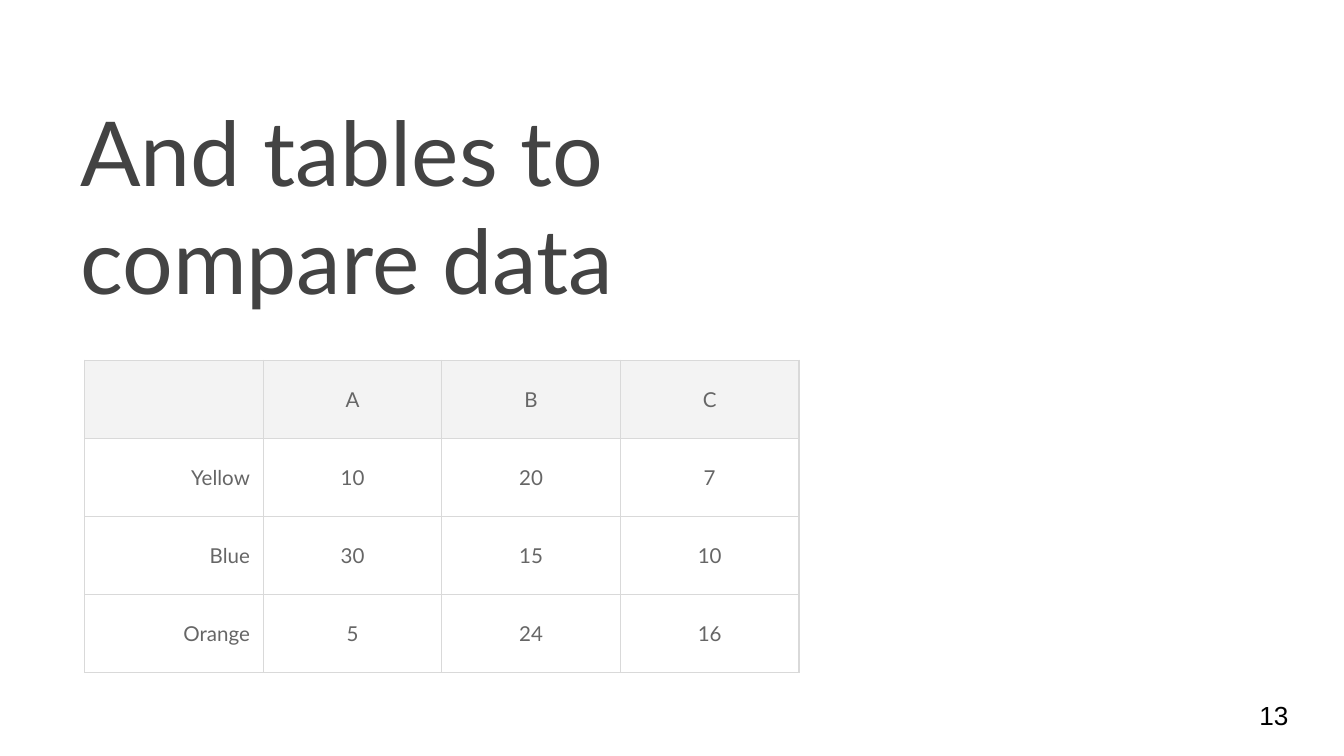
from lxml.etree import SubElement
from pptx import Presentation
from pptx.dml.color import RGBColor
from pptx.enum.text import MSO_ANCHOR as Anchor, MSO_AUTO_SIZE as AutoSize, PP_ALIGN as Align
from pptx.oxml.ns import qn
from pptx.util import Cm, Pt

COLORS = {
    "title": "434343",
    "cell": "666666",
    "header": "F3F3F3",
    "border": "D9D9D9",
    "number": "000000",
}
ROWS = [
    ["", "A", "B", "C"],
    ["Yellow", "10", "20", "7"],
    ["Blue", "30", "15", "10"],
    ["Orange", "5", "24", "16"],
]


def style_paragraph(paragraph, font_name, size, color, align=Align.LEFT):
    """Set the font and alignment of a paragraph."""
    paragraph.alignment = align
    paragraph.font.name = font_name
    paragraph.font.size = Pt(size)
    paragraph.font.color.rgb = RGBColor.from_string(COLORS[color])


def fill_frame(frame, text, anchor):
    """Put text into a wrapping frame with even insets and return its paragraph."""
    frame.text = text
    frame.word_wrap = True
    frame.auto_size = AutoSize.NONE
    frame.vertical_anchor = anchor
    frame.margin_left = frame.margin_right = Cm(0.25)
    frame.margin_top = frame.margin_bottom = Cm(0.25)
    return frame.paragraphs[0]


def place_title(slide, left, top, width, height):
    """Place and format the title placeholder."""
    title = slide.shapes.title
    title.left, title.top, title.width, title.height = left, top, width, height
    paragraph = fill_frame(title.text_frame, "And tables to compare data", Anchor.BOTTOM)
    style_paragraph(paragraph, "Lato", 48, "title")


def add_borders(cell):
    """Draw a thin line on all four sides of a cell."""
    properties = cell._tc.get_or_add_tcPr()
    for index, side in enumerate(("lnL", "lnR", "lnT", "lnB")):
        line = properties.makeelement(qn(f"a:{side}"), {"w": str(Pt(0.75))})
        fill = SubElement(line, qn("a:solidFill"))
        SubElement(fill, qn("a:srgbClr"), val=COLORS["border"])
        properties.insert(index, line)


def format_cell(cell, text, is_header, align):
    """Write one table cell with its fill, font and borders."""
    cell.text = text
    cell.vertical_anchor = Anchor.MIDDLE
    cell.margin_left = cell.margin_right = Cm(0.25)
    cell.margin_top = cell.margin_bottom = Cm(0.18)
    style_paragraph(cell.text_frame.paragraphs[0], "Lato", 11, "cell", align)
    if is_header:
        cell.fill.solid()
        cell.fill.fore_color.rgb = RGBColor.from_string(COLORS["header"])
    else:
        cell.fill.background()
    add_borders(cell)


def place_table(slide, left, top, width, height):
    """Add the comparison table with equal rows and columns."""
    table = slide.shapes.add_table(len(ROWS), len(ROWS[0]), left, top, width, height).table
    table.first_row = table.horz_banding = False
    for row_index, row in enumerate(ROWS):
        for column_index, text in enumerate(row):
            align = Align.CENTER if column_index else Align.RIGHT
            format_cell(table.cell(row_index, column_index), text, row_index == 0, align)


def place_number(slide, left, top, width, height):
    """Add the slide number."""
    box = slide.shapes.add_textbox(left, top, width, height)
    paragraph = fill_frame(box.text_frame, "13", Anchor.MIDDLE)
    style_paragraph(paragraph, "Arial", 14, "number")


def main():
    """Build and save the slide."""
    presentation = Presentation()
    presentation.slide_width, presentation.slide_height = Cm(25.4), Cm(14.29)
    slide = presentation.slides.add_slide(presentation.slide_layouts[5])
    place_title(slide, Cm(1.27), Cm(3.76), Cm(15.32), Cm(2.39))
    place_table(slide, Cm(1.6), Cm(6.81), Cm(13.5), Cm(5.9))
    place_number(slide, Cm(23.55), Cm(12.98), Cm(1.52), Cm(1.09))
    presentation.save("out.pptx")


if __name__ == "__main__":
    main()
